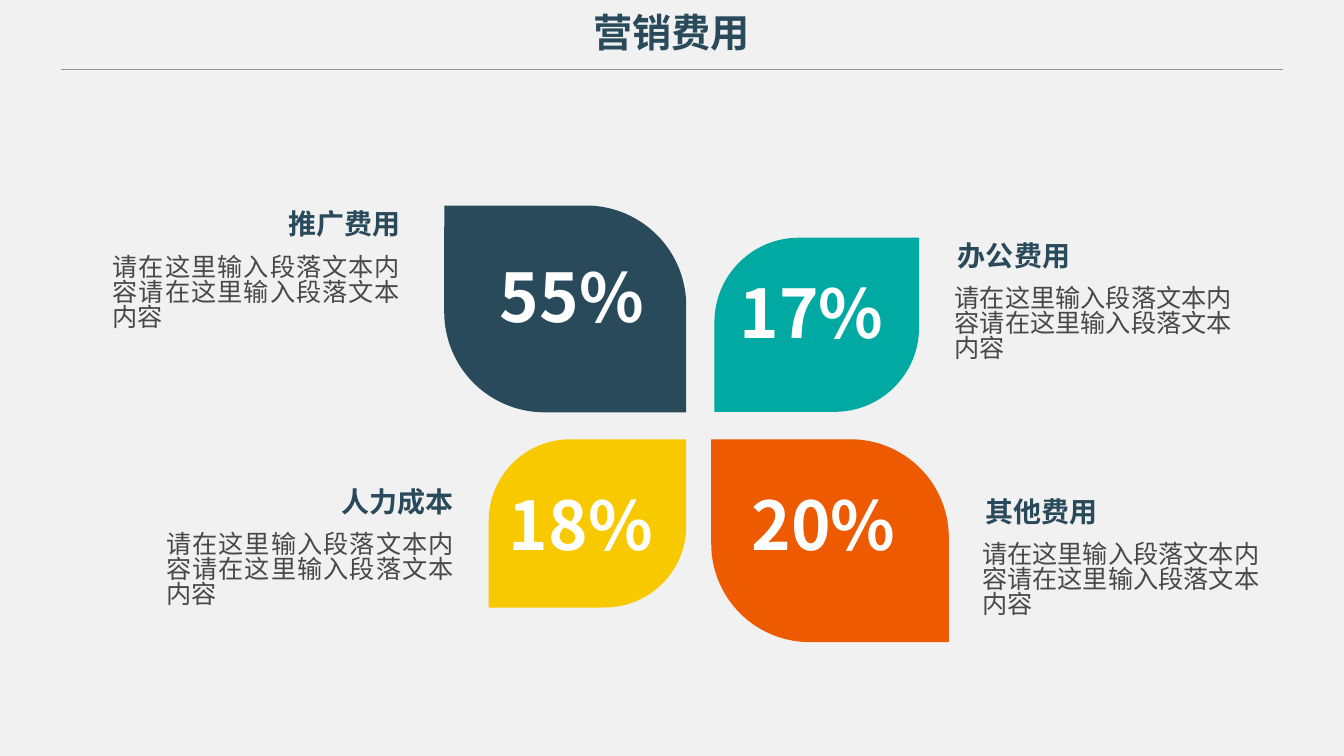
from lxml.etree import SubElement
from pptx import Presentation
from pptx.dml.color import RGBColor
from pptx.enum.shapes import MSO_CONNECTOR, MSO_SHAPE
from pptx.enum.text import MSO_ANCHOR, MSO_AUTO_SIZE, PP_ALIGN
from pptx.oxml.ns import qn
from pptx.util import Cm, Pt

NAVY, TEAL, ORANGE, YELLOW = "294A5A", "00AAA2", "ED5A00", "F9C900"
WHITE, GREY, RULE, PAPER = "FFFFFF", "484849", "969696", "F1F1F1"
DETAIL = "请在这里输入段落文本内容请在这里输入段落文本内容"


def color(hex_code):
    return RGBColor.from_string(hex_code)


class CostSlide:
    font = "Noto Sans CJK SC"

    def __init__(self, deck):
        self.slide = deck.slides.add_slide(deck.slide_layouts[5])
        self.slide.background.fill.solid()
        self.slide.background.fill.fore_color.rgb = color(PAPER)

    def fill_text(self, holder, wording, size, ink, bold=False,
                  align=PP_ALIGN.LEFT, inset=(0.25, 0.13)):
        frame = holder.text_frame
        frame.word_wrap = True
        frame.auto_size = MSO_AUTO_SIZE.SHAPE_TO_FIT_TEXT
        frame.vertical_anchor = MSO_ANCHOR.TOP
        frame.margin_left = frame.margin_right = Cm(inset[0])
        frame.margin_top = frame.margin_bottom = Cm(inset[1])
        paragraph = frame.paragraphs[0]
        paragraph.alignment = align
        paragraph.line_spacing = 0.83
        run = paragraph.add_run()
        run.text = wording
        run.font.size = Pt(size)
        run.font.bold = bold
        run.font.color.rgb = color(ink)
        run.font.name = self.font
        SubElement(run.font._element, qn("a:ea"), typeface=self.font)

    def title(self, wording, left, top, width, height):
        heading = self.slide.shapes.title
        heading.left, heading.top = Cm(left), Cm(top)
        heading.width, heading.height = Cm(width), Cm(height)
        self.fill_text(heading, wording, 28, NAVY, True, PP_ALIGN.CENTER)

    def text(self, wording, left, top, width, height, *style, **options):
        box = self.slide.shapes.add_textbox(
            Cm(left), Cm(top), Cm(width), Cm(height))
        self.fill_text(box, wording, *style, **options)

    def petal(self, left, top, width, height, fill, rounding):
        leaf = self.slide.shapes.add_shape(
            MSO_SHAPE.ROUND_2_DIAG_RECTANGLE,
            Cm(left), Cm(top), Cm(width), Cm(height))
        leaf.adjustments[0], leaf.adjustments[1] = rounding
        leaf.shadow.inherit = False
        leaf.fill.solid()
        leaf.fill.fore_color.rgb = color(fill)
        leaf.line.fill.background()

    def rule(self, left, right, top):
        divider = self.slide.shapes.add_connector(
            MSO_CONNECTOR.STRAIGHT, Cm(left), Cm(top), Cm(right), Cm(top))
        divider.line.color.rgb = color(RULE)
        divider.line.width = Pt(0.75)
        SubElement(divider._element.spPr, qn("a:effectLst"))

    def share(self, percent, left, top):
        self.text(percent, left, top, 4.67, 2.39, 48, WHITE, True,
                  inset=(0.33, 0.18))

    def caption(self, name, left, top, on_left):
        self.text(name, left, top, 5.54, 1.12, 20, NAVY, True,
                  align=PP_ALIGN.RIGHT if on_left else PP_ALIGN.LEFT)
        shift, width = (-2.21, 7.75) if on_left else (-0.08, 7.92)
        self.text(DETAIL, left + shift, top + 1.09, width, 2.57, 18, GREY,
                  align=PP_ALIGN.JUSTIFY if on_left else PP_ALIGN.LEFT)


def main():
    deck = Presentation()
    deck.slide_width, deck.slide_height = Cm(33.88), Cm(19.05)
    costs = CostSlide(deck)
    costs.title("营销费用", 9.83, 0.28, 14.2, 1.45)
    falling, rising = (0.485, 0), (0, 0.485)
    quarters = [
        ("办公费用", "17%", TEAL, falling, (18.01, 5.99, 5.16, 4.39),
         (18.31, 6.99), (23.9, 6.02), False),
        ("推广费用", "55%", NAVY, rising, (11.2, 5.18, 6.1, 5.21),
         (12.27, 6.6), (4.8, 5.23), True),
        ("其他费用", "20%", ORANGE, rising, (17.93, 11.07, 5.99, 5.11),
         (18.62, 12.34), (24.59, 12.47), False),
        ("人力成本", "18%", YELLOW, falling, (12.32, 11.07, 4.98, 4.24),
         (12.5, 12.34), (6.15, 12.22), True),
    ]
    for name, percent, fill, rounding, leaf, figure, label, on_left in quarters:
        costs.petal(*leaf, fill, rounding)
        costs.share(percent, *figure)
        costs.caption(name, *label, on_left)
    costs.rule(1.55, 32.33, 1.75)
    deck.save("out.pptx")


if __name__ == "__main__":
    main()
